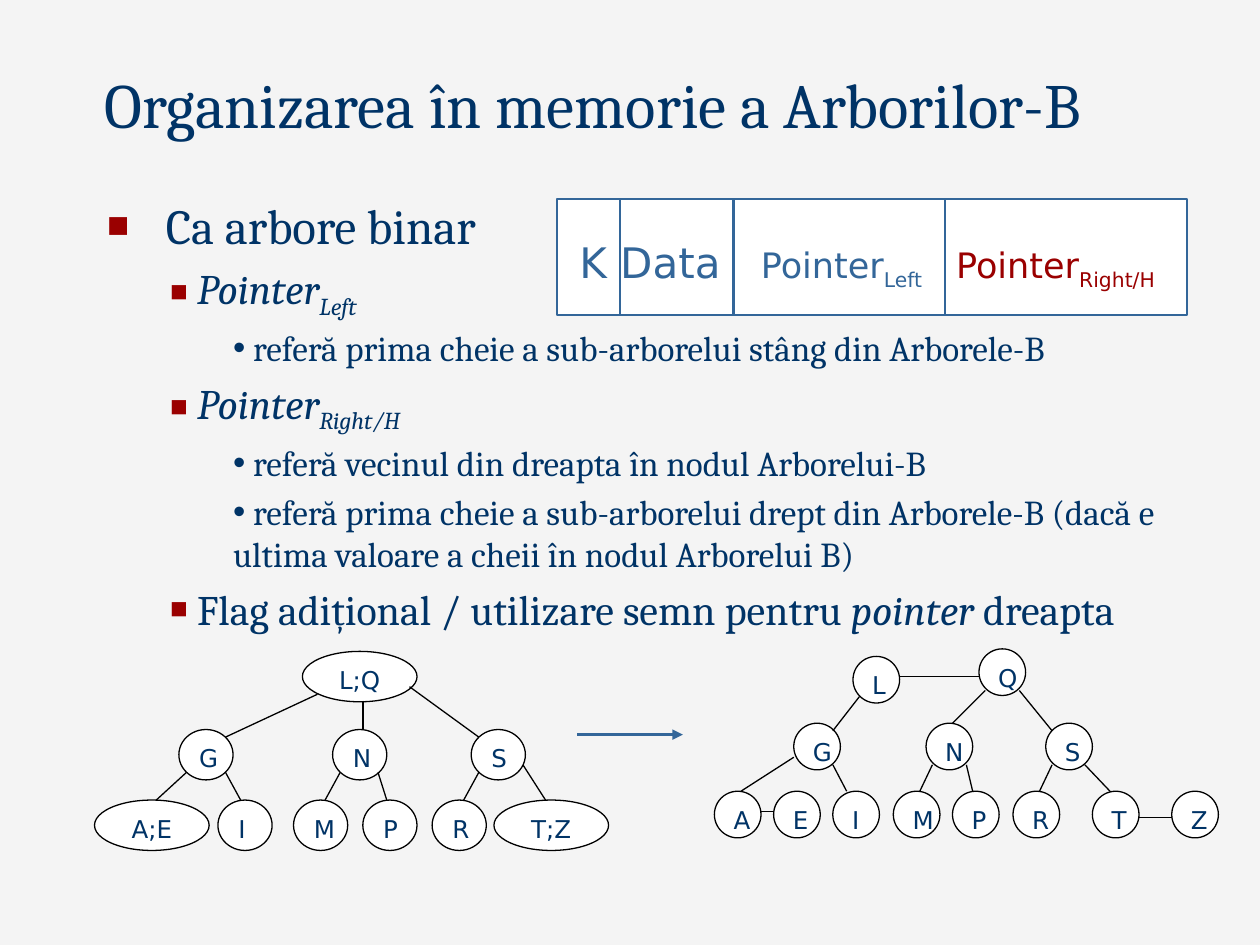
from lxml.etree import SubElement
from pptx import Presentation
from pptx.dml.color import RGBColor
from pptx.enum.shapes import MSO_CONNECTOR as Connector, MSO_SHAPE as Shape
from pptx.enum.text import MSO_ANCHOR as Anchor, MSO_AUTO_SIZE as AutoSize, PP_ALIGN as Align
from pptx.oxml.ns import qn
from pptx.util import Inches, Pt

COLORS = {"page": "F4F4F4", "navy": "003366", "steel": "336699",
          "red": "9A0000", "white": "FFFFFF", "black": "000000"}
SERIF, SANS = "Cambria", "DejaVu Sans"

# level: (left margin, indent, text size, bullet, bullet colour, bullet size %)
LEVELS = [(0.38, -0.38, 28, "■", "red", 75),
          (0.5, 0, 24, "■", "red", 70),
          (1, 0, 20, "•", "navy", 100)]

# Each span is (text, style), where style holds "i" for italic, "s" for subscript
OUTLINE = [
    (0, [(" Ca arbore binar", "")]),
    (1, [(" ", ""), ("Pointer", "i"), ("Left", "is")]),
    (2, [(" referă prima cheie a sub-arborelui stâng din Arborele-B", "")]),
    (1, [(" ", ""), ("Pointer", "i"), ("Right/H", "is")]),
    (2, [(" referă vecinul din dreapta în nodul Arborelui-B", "")]),
    (2, [(" referă prima cheie a sub-arborelui drept din Arborele-B (dacă e "
          "ultima valoare a cheii în nodul Arborelui B)", "")]),
    (1, [(" Flag adițional / utilizare semn pentru ", ""), ("pointer ", "i"),
         ("dreapta", "")]),
]

BINARY_ROWS = [
    (5.74, [("G", 6.3), ("N", 7.35), ("S", 8.3)]),
    (6.28, [("A", 5.67), ("E", 6.14), ("I", 6.61), ("M", 7.09), ("P", 7.56),
            ("R", 8.04), ("T", 8.67), ("Z", 9.3)]),
    (5.21, [("L", 6.77)]),
    (5.15, [("Q", 7.77)]),
]
BINARY_LINKS = [
    (6.61, 5.8, 6.82, 5.53), (7.82, 5.48, 7.56, 5.74), (8.09, 5.48, 8.35, 5.8),
    (6.3, 6.01, 5.88, 6.28), (6.61, 6.07, 6.72, 6.28), (7.4, 6.07, 7.3, 6.28),
    (7.67, 6.07, 7.72, 6.28), (8.25, 6.28, 8.35, 6.07), (8.61, 6.07, 8.81, 6.28),
    (7.14, 5.37, 7.77, 5.37), (9.04, 6.49, 9.3, 6.49), (6.04, 6.44, 6.14, 6.44),
]
BTREE_ROWS = [
    (5.17, [("L;Q", 2.4)]),
    (5.79, [("G", 1.42), ("N", 2.64), ("S", 3.74)]),
    (6.35, [("A;E", 0.75), ("I", 1.73), ("M", 2.33), ("P", 2.88), ("R", 3.43),
            ("T;Z", 3.92)]),
]
BTREE_LINKS = [
    (1.79, 5.85, 2.52, 5.51), (2.88, 5.56, 2.88, 5.79), (3.25, 5.45, 3.8, 5.85),
    (1.48, 6.13, 1.24, 6.35), (1.79, 6.13, 1.91, 6.35), (2.7, 6.13, 2.58, 6.35),
    (3, 6.13, 3.07, 6.35), (3.68, 6.35, 3.8, 6.13), (4.15, 6.07, 4.33, 6.35),
]


def color(name):
    """Return the named colour."""
    return RGBColor.from_string(COLORS[name])


def set_font(font, name, size, tone):
    """Set face, size and colour of a font."""
    font.name, font.size = name, Pt(size)
    font.color.rgb = color(tone)


def add_span(para, text, style=""):
    """Add a run, italic or subscript on demand, and return it."""
    span = para.add_run()
    span.text = text
    if "i" in style:
        span.font.italic = True
    if "s" in style:
        span.font._element.set("baseline", "-25000")
    return span


class SlideBuilder:
    """Draws elements in one style on the current page or group."""

    def __init__(self, page):
        """Start on a page and fill its background."""
        self.page, self.shapes = page, page.shapes
        page.background.fill.solid()
        page.background.fill.fore_color.rgb = color("page")

    def group(self):
        """Send the following elements to a new group."""
        self.shapes = self.page.shapes.add_group_shape().shapes

    def ungroup(self):
        """Send the following elements to the page itself."""
        self.shapes = self.page.shapes

    def place(self, holder, *place):
        """Move a placeholder and return its text frame."""
        holder.left, holder.top, holder.width, holder.height = map(Inches, place)
        holder.text_frame.auto_size = AutoSize.NONE
        return holder.text_frame

    def title(self, text, *place):
        """Fill the title placeholder."""
        frame = self.place(self.page.shapes.title, *place)
        frame.vertical_anchor = Anchor.BOTTOM
        para = frame.paragraphs[0]
        para.text, para.alignment = text, Align.LEFT
        set_font(para.font, SERIF, 36, "navy")

    def outline(self, items, *place):
        """Fill the body placeholder with bulleted levels."""
        frame = self.place(self.page.placeholders[1], *place)
        for index, (level, spans) in enumerate(items):
            para = frame.add_paragraph() if index else frame.paragraphs[0]
            margin, indent, size, bullet, tone, percent = LEVELS[level]
            para.level = level
            props = para._p.get_or_add_pPr()
            props.set("marL", str(Inches(margin)))
            props.set("indent", str(Inches(indent)))
            tint = SubElement(props, qn("a:buClr"))
            SubElement(tint, qn("a:srgbClr"), val=COLORS[tone])
            SubElement(props, qn("a:buSzPct"), val=str(percent * 1000))
            SubElement(props, qn("a:buFont"), typeface="Arial")
            SubElement(props, qn("a:buChar"), char=bullet)
            para.space_before = Pt(size * 0.2)
            set_font(para.font, SERIF, size, "navy")
            for text, style in spans:
                add_span(para, text, style)

    def shape(self, kind, *place, line="black", width=0.75):
        """Add a white outlined shape."""
        shape = self.shapes.add_shape(kind, *map(Inches, place))
        shape.shadow.inherit = False
        shape.fill.solid()
        shape.fill.fore_color.rgb = color("white")
        shape.line.color.rgb, shape.line.width = color(line), Pt(width)

    def text(self, *place):
        """Add a wrapping text box and return its paragraph."""
        box = self.shapes.add_textbox(*map(Inches, place))
        box.text_frame.word_wrap = True
        return box.text_frame.paragraphs[0]

    def line(self, ends, tone="black", width=0.75, arrow=False):
        """Add a straight line, with an arrowhead on demand."""
        line = self.shapes.add_connector(Connector.STRAIGHT, *map(Inches, ends))
        line.line.color.rgb, line.line.width = color(tone), Pt(width)
        if arrow:
            SubElement(line.line._get_or_add_ln(), qn("a:tailEnd"), type="triangle")
        SubElement(line._element.spPr, qn("a:effectLst"))

    def node(self, label, left, top, width, height):
        """Add a tree node with its label."""
        self.shape(Shape.OVAL, left, top, width, height)
        para = self.text(left + width * 0.145, top + 0.06, width * 0.71, 0.33)
        para.text = label
        para.alignment = Align.CENTER if len(label) > 1 else Align.LEFT
        set_font(para.font, SANS, 14, "navy")

    def tree(self, rows, links, width, height, wide=0.91):
        """Add a group of nodes, row by row, and their links."""
        self.group()
        for top, nodes in rows:
            for label, left in nodes:
                self.node(label, left, top, wide if len(label) > 1 else width, height)
        for ends in links:
            self.line(ends)

    def record(self):
        """Add the memory record with its four fields."""
        self.group()
        self.shape(Shape.RECTANGLE, 4.42, 1.58, 5, 0.92, line="steel", width=1.5)
        para = self.text(4.5, 1.83, 5.08, 0.5)
        tabs = SubElement(para._p.get_or_add_pPr(), qn("a:tabLst"))
        for stop in (1.44, 2.99):
            SubElement(tabs, qn("a:tab"), pos=str(Inches(stop)), algn="l")
        for text, size, tone, style in [
                ("K Data\t", 24, "steel", ""), ("Pointer", 20, "steel", ""),
                ("Left\t", 20, "steel", "s"), ("Pointer", 20, "red", ""),
                ("Right/H", 20, "red", "s")]:
            set_font(add_span(para, text, style).font, SANS, size, tone)
        for x in (4.92, 5.82, 7.5):
            self.line((x, 1.58, x, 2.5), "steel", 1.5)


def main():
    """Build and save the deck."""
    deck = Presentation()
    deck.slide_width, deck.slide_height = Inches(10), Inches(7.5)
    builder = SlideBuilder(deck.slides.add_slide(deck.slide_layouts[1]))
    builder.title("Organizarea în memorie a Arborilor-B", 0.73, 0.46, 8.75, 0.71)
    builder.outline(OUTLINE, 0.75, 1.5, 9.25, 5.17)
    builder.tree(BINARY_ROWS, BINARY_LINKS, 0.37, 0.37)
    builder.record()
    builder.tree(BTREE_ROWS, BTREE_LINKS, 0.43, 0.4)
    builder.ungroup()
    builder.line((4.58, 5.83, 5.42, 5.83), "steel", 1.5, arrow=True)
    deck.save("out.pptx")


main()
